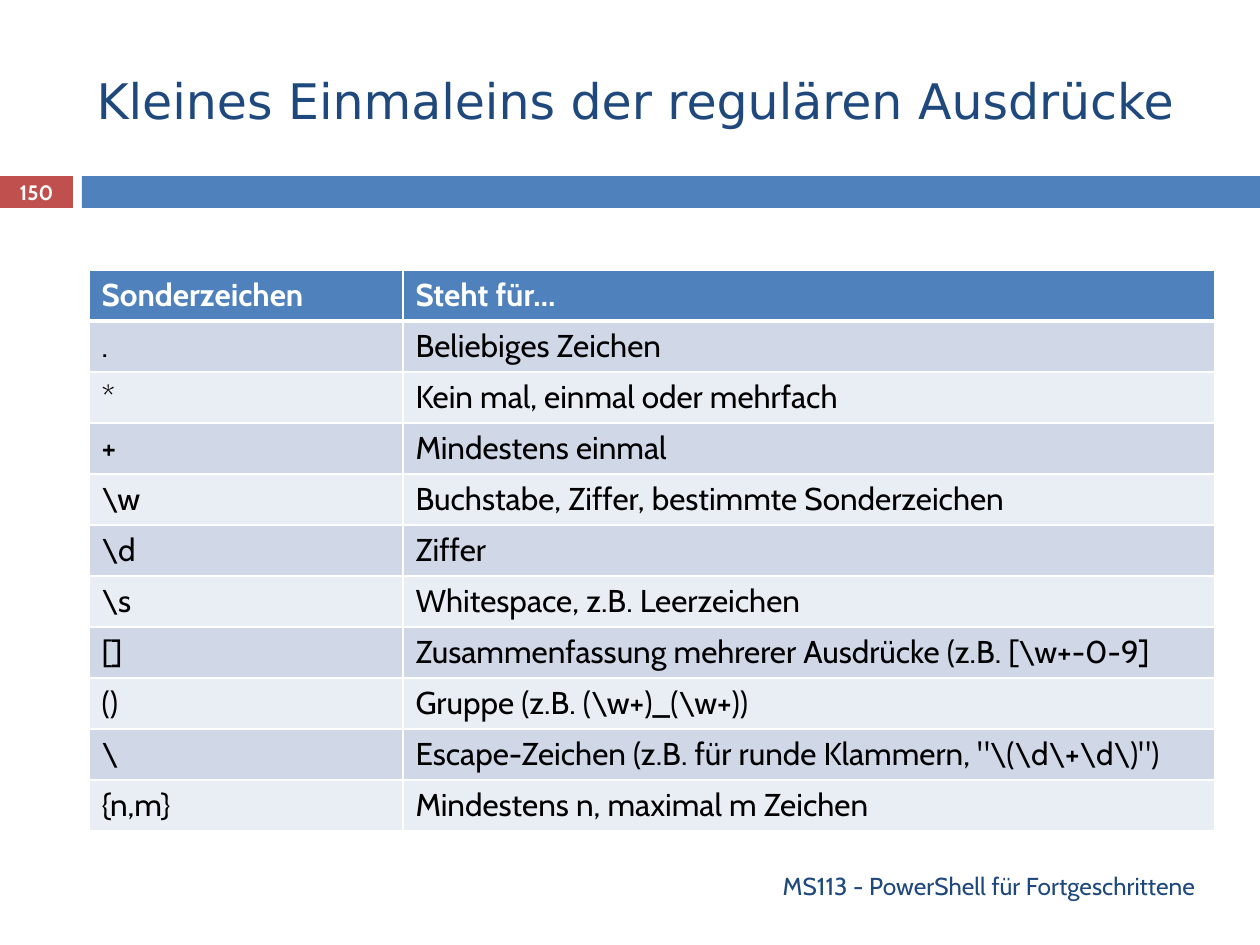
"""Build a slide with a table of the basic regular expression characters."""
from dataclasses import dataclass

from lxml import etree
from pptx import Presentation
from pptx import util as u
from pptx.dml.color import RGBColor
from pptx.enum import shapes, text
from pptx.oxml.ns import qn

TITLE = "Kleines Einmaleins der regulären Ausdrücke"
FOOTER = "MS113 - PowerShell für Fortgeschrittene"
PAGE = "150"
ROWS = [
    ("Sonderzeichen", "Steht für…"),
    (".", "Beliebiges Zeichen"),
    ("*", "Kein mal, einmal oder mehrfach"),
    ("+", "Mindestens einmal"),
    (r"\w", "Buchstabe, Ziffer, bestimmte Sonderzeichen"),
    (r"\d", "Ziffer"),
    (r"\s", "Whitespace, z.B. Leerzeichen"),
    ("[]", r"Zusammenfassung mehrerer Ausdrücke (z.B. [\w+-0-9]"),
    ("()", r"Gruppe (z.B. (\w+)_(\w+))"),
    ("\\", r'Escape-Zeichen (z.B. für runde Klammern, "\(\d\+\d\)")'),
    ("{n,m}", "Mindestens n, maximal m Zeichen"),
]
COLUMNS = (314, 812)
ROW_HEIGHT = 51
TABLE_LEFT, TABLE_TOP = 89, 270


@dataclass(frozen=True)
class Theme:
    title_font: str = "DejaVu Sans"
    body_font: str = "Cabin"
    dark: str = "1F497D"
    blue: str = "4F81BD"
    red: str = "C0504D"
    white: str = "FFFFFF"
    black: str = "000000"
    bands: tuple = ("D0D8E8", "E9EDF4")
    title_size: float = 28
    table_size: float = 18
    footer_size: float = 14
    page_size: float = 11.9


THEME = Theme()


def px(n):
    return u.Emu(round(n * 914400 / 126))


def box(*lengths):
    return [px(n) for n in lengths]


def paint(fill, color):
    fill.solid()
    fill.fore_color.rgb = RGBColor.from_string(color)


def write(tf, content, size, color, font=THEME.body_font, bold=False,
          align=text.PP_ALIGN.LEFT):
    tf.text = content
    p = tf.paragraphs[0]
    p.alignment = align
    f = p.runs[0].font
    f.name, f.size, f.bold = font, u.Pt(size), bold
    f.color.rgb = RGBColor.from_string(color)


def add_bar(s, color, *lengths):
    sp = s.shapes.add_shape(shapes.MSO_SHAPE.RECTANGLE, *box(*lengths))
    sp.shadow.inherit = False
    paint(sp.fill, color)
    sp.line.fill.background()


def add_label(s, content, lengths, **style):
    tf = s.shapes.add_textbox(*box(*lengths)).text_frame
    tf.word_wrap = True
    tf.vertical_anchor = text.MSO_ANCHOR.MIDDLE
    write(tf, content, **style)
    return tf


def add_border(cell, side, points):
    tc_pr = cell._tc.get_or_add_tcPr()
    ln = etree.SubElement(tc_pr, qn(f"a:ln{side}"), w=str(u.Pt(points)))
    fill = etree.SubElement(ln, qn("a:solidFill"))
    etree.SubElement(fill, qn("a:srgbClr"), val=THEME.white)


def format_cell(cell, content, row):
    header = row == 0
    write(cell.text_frame, content, THEME.table_size,
          THEME.white if header else THEME.black, bold=header)
    widths = {"L": 1, "R": 1, "T": 3 if row == 1 else 1, "B": 3 if header else 1}
    for side, points in widths.items():
        add_border(cell, side, points)
    paint(cell.fill, THEME.blue if header else THEME.bands[(row - 1) % 2])


def add_rows(s):
    height = ROW_HEIGHT * len(ROWS)
    frame = s.shapes.add_table(len(ROWS), len(COLUMNS),
                               *box(TABLE_LEFT, TABLE_TOP, sum(COLUMNS), height))
    table = frame.table
    for column, width in zip(table.columns, COLUMNS):
        column.width = px(width)
    for i, row in enumerate(ROWS):
        table.rows[i].height = px(ROW_HEIGHT)
        for j, content in enumerate(row):
            format_cell(table.cell(i, j), content, i)


def main():
    prs = Presentation()
    prs.slide_width, prs.slide_height = px(1260), px(945)
    s = prs.slides.add_slide(prs.slide_layouts[5])
    add_bar(s, THEME.red, 0, 176, 73, 32)
    add_bar(s, THEME.blue, 82, 176, 1178, 32)

    title = s.shapes.title
    title.left, title.top, title.width, title.height = box(84, 32, 1124, 136)
    title.text_frame.vertical_anchor = text.MSO_ANCHOR.MIDDLE
    write(title.text_frame, TITLE, THEME.title_size, THEME.dark, THEME.title_font)

    add_label(s, FOOTER, (84, 861, 1124, 50), size=THEME.footer_size,
              color=THEME.dark, align=text.PP_ALIGN.RIGHT)
    tf = add_label(s, PAGE, (0, 175, 73, 34), size=THEME.page_size,
                   color=THEME.white, bold=True, align=text.PP_ALIGN.CENTER)
    tf.margin_left = tf.margin_right = tf.margin_top = tf.margin_bottom = 0
    add_rows(s)
    prs.save("out.pptx")


if __name__ == "__main__":
    main()
